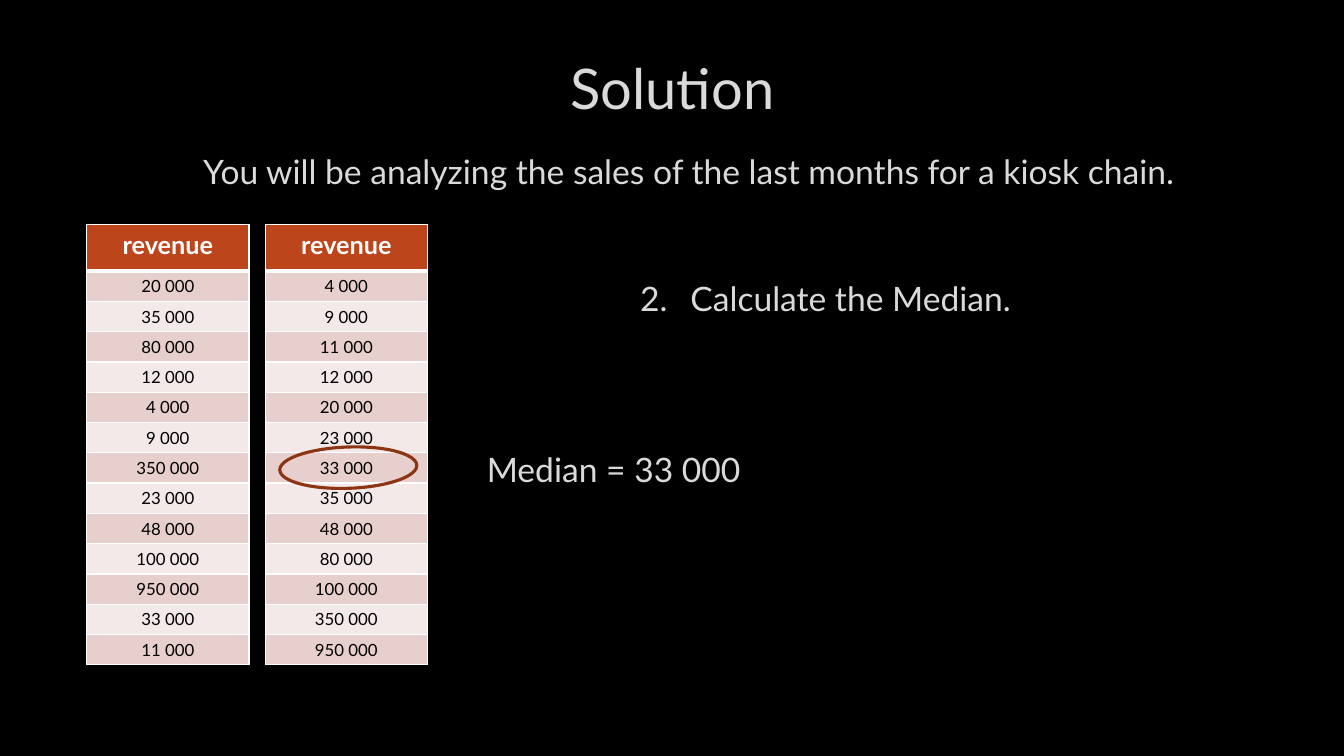
from lxml import etree
from pptx import Presentation
from pptx.dml.color import RGBColor
from pptx.enum.shapes import MSO_SHAPE
from pptx.enum.text import MSO_ANCHOR, PP_ALIGN
from pptx.oxml.ns import qn
from pptx.util import Inches, Pt

CENTER, LEFT = PP_ALIGN.CENTER, PP_ALIGN.LEFT
MIDDLE, TOP = MSO_ANCHOR.MIDDLE, MSO_ANCHOR.TOP
OVAL = MSO_SHAPE.OVAL

FONT = "Lato"
COLORS = {
    "background": "000000", "text": "DADADA", "header": "BC451B",
    "header text": "FFFFFF", "cell text": "000000", "border": "FFFFFF",
    "odd row": "E7CFCD", "even row": "F3E9E8", "ring": "8D3414",
}

HEADER = "revenue"
MONTHLY = [20, 35, 80, 12, 4, 9, 350, 23, 48, 100, 950, 33, 11]
REVENUE_LISTS = [MONTHLY, sorted(MONTHLY)]

TEXTS = [
    ("Solution", (1.01, 0.33, 11.32, 1.06), {"size": 40, "align": CENTER}),
    ("You will be analyzing the sales of the last months for a kiosk chain.",
     (1.17, 1.17, 11.32, 1.06), {"align": CENTER}),
    ("Median = 33 000", (4.73, 3.2, 8.4, 2.91), {}),
    ("2.\tCalculate the Median.", (6.25, 1.5, 6.9, 2.91), {"indent": 0.5}),
]

TABLE_LEFT, TABLE_TOP = 0.86, 2.23
TABLE_WIDTH, TABLE_STEP = 1.61, 1.77
HEADER_HEIGHT, ROW_HEIGHT = 0.46, 0.3
RING_WIDTH, RING_HEIGHT, RING_TILT = 1.36, 0.41, -2


def color(name):
    return RGBColor.from_string(COLORS[name])


def write(frame, text, size=24, ink="text", align=LEFT, bold=False, indent=0):
    para = frame.paragraphs[0]
    para.alignment = align
    if indent:
        properties = para._p.get_or_add_pPr()
        properties.set("marL", str(Inches(indent)))
        properties.set("indent", str(-Inches(indent)))
    span = para.add_run()
    span.text = text
    span.font.name = FONT
    span.font.size = Pt(size)
    span.font.bold = bold
    span.font.color.rgb = color(ink)


def add_text(page, text, place, **style):
    box = page.shapes.add_textbox(*map(Inches, place))
    box.text_frame.word_wrap = True
    box.text_frame.vertical_anchor = MIDDLE
    write(box.text_frame, text, **style)


def set_borders(cell, widths):
    properties = cell._tc.get_or_add_tcPr()
    for position, (side, width) in enumerate(widths.items()):
        line = etree.Element(qn("a:ln" + side), w=str(Pt(width)))
        fill = etree.SubElement(line, qn("a:solidFill"))
        etree.SubElement(fill, qn("a:srgbClr"), val=COLORS["border"])
        properties.insert(position, line)


def add_revenue_table(page, left, thousands):
    labels = [HEADER] + [f"{value} 000" for value in thousands]
    height = HEADER_HEIGHT + ROW_HEIGHT * len(thousands)
    place = map(Inches, (left, TABLE_TOP, TABLE_WIDTH, height))
    table = page.shapes.add_table(len(labels), 1, *place).table
    table.horz_banding = False
    for index, label in enumerate(labels):
        is_header = index == 0
        table.rows[index].height = Inches(HEADER_HEIGHT if is_header else ROW_HEIGHT)
        cell = table.cell(index, 0)
        cell.vertical_anchor = TOP
        cell.fill.solid()
        if is_header:
            cell.fill.fore_color.rgb = color("header")
            write(cell.text_frame, label, size=18, ink="header text", align=CENTER, bold=True)
        else:
            cell.fill.fore_color.rgb = color("odd row" if index % 2 else "even row")
            write(cell.text_frame, label, size=12, ink="cell text", align=CENTER)
        set_borders(cell, {"L": 1, "R": 1, "T": 3 if index == 1 else 1, "B": 3 if is_header else 1})


def add_median_ring(page):
    middle_row = len(MONTHLY) // 2
    center_x = TABLE_LEFT + TABLE_STEP + TABLE_WIDTH / 2 + 0.02
    center_y = TABLE_TOP + HEADER_HEIGHT + ROW_HEIGHT * (middle_row + 0.5)
    ring = page.shapes.add_shape(
        OVAL, Inches(center_x - RING_WIDTH / 2), Inches(center_y - RING_HEIGHT / 2),
        Inches(RING_WIDTH), Inches(RING_HEIGHT))
    ring.rotation = RING_TILT
    ring.shadow.inherit = False
    ring.fill.background()
    ring.line.color.rgb = color("ring")
    ring.line.width = Pt(2.25)


def main():
    deck = Presentation()
    deck.slide_width, deck.slide_height = Inches(13.33), Inches(7.5)
    page = deck.slides.add_slide(deck.slide_layouts[6])
    page.background.fill.solid()
    page.background.fill.fore_color.rgb = color("background")
    for index, thousands in enumerate(REVENUE_LISTS):
        add_revenue_table(page, TABLE_LEFT + index * TABLE_STEP, thousands)
    add_median_ring(page)
    for text, place, style in TEXTS:
        add_text(page, text, place, **style)
    deck.save("out.pptx")


if __name__ == "__main__":
    main()
